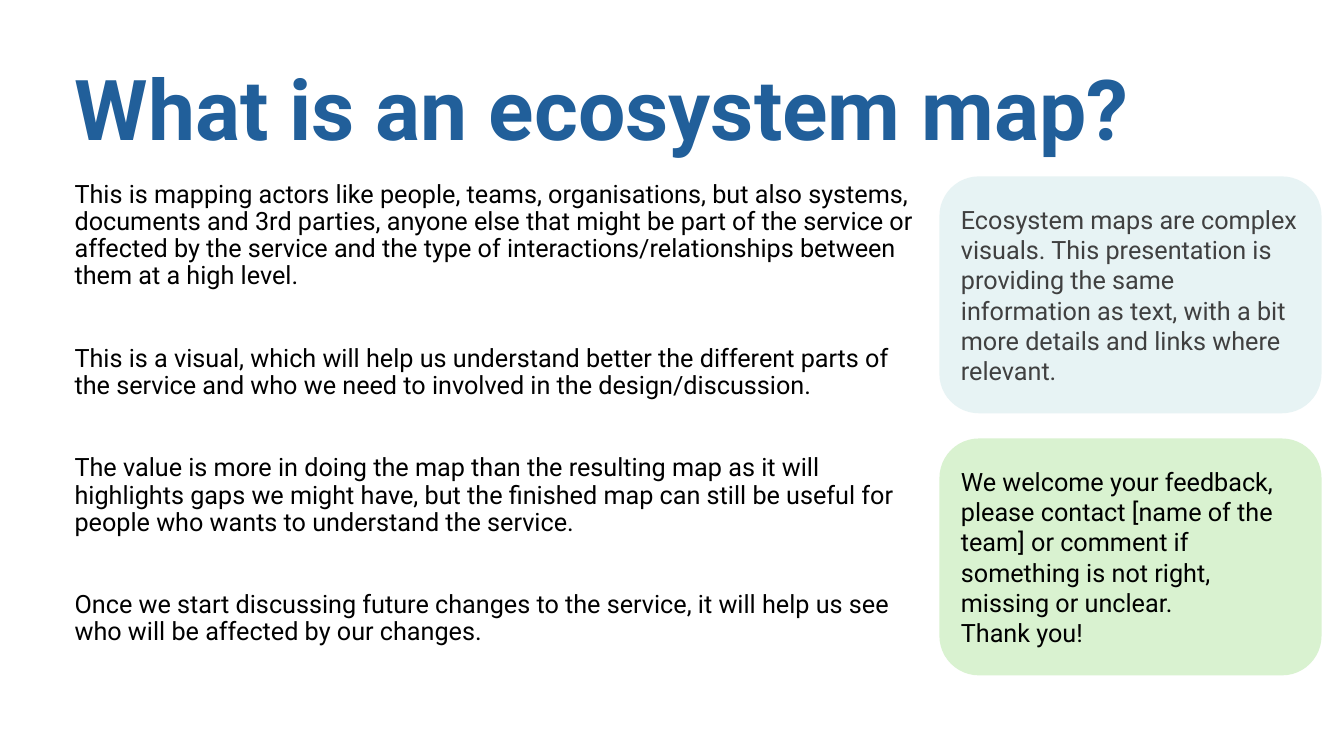
from dataclasses import dataclass

from pptx import Presentation
from pptx.dml.color import RGBColor
from pptx.enum.shapes import MSO_SHAPE
from pptx.enum.text import MSO_ANCHOR, MSO_AUTO_SIZE, PP_ALIGN
from pptx.oxml.xmlchemy import OxmlElement
from pptx.util import Inches, Pt

ROUNDED = MSO_SHAPE.ROUNDED_RECTANGLE
MIDDLE, TOP = MSO_ANCHOR.MIDDLE, MSO_ANCHOR.TOP
LEFT = PP_ALIGN.LEFT
NO_FIT = MSO_AUTO_SIZE.NONE


@dataclass(frozen=True)
class Theme:
    font: str = "Roboto"
    title_size: int = 60
    body_size: int = 18
    title: str = "215F9A"
    text: str = "000000"
    muted: str = "404040"
    info: str = "E7F3F4"
    feedback: str = "D9F2D0"
    tight: float = 0.9
    first_gap: float = 10
    gap: float = 39.4


class Deck:
    """Places themed elements of one slide on a grid of 100 columns and 150 rows."""

    def __init__(self, theme):
        self.theme = theme
        self.prs = Presentation()
        self.prs.slide_width, self.prs.slide_height = Inches(13.33), Inches(7.5)
        self.s = self.prs.slides.add_slide(self.prs.slide_layouts[1])

    def grid(self, col, row, cols, rows):
        dx, dy = self.prs.slide_width / 100, self.prs.slide_height / 150
        return [round(v) for v in (col * dx, row * dy, cols * dx, rows * dy)]

    def place(self, sp, cell):
        sp.left, sp.top, sp.width, sp.height = self.grid(*cell)

    def frame(self, sp, anchor):
        tf = sp.text_frame
        tf.word_wrap = True
        tf.auto_size = NO_FIT
        tf.vertical_anchor = anchor
        return tf

    def add_text(self, tf, texts, size, color, bold=False):
        for i, text in enumerate(texts):
            p = tf.add_paragraph() if i else tf.paragraphs[0]
            p.alignment = LEFT
            r = p.add_run()
            r.text = text
            r.font.name = self.theme.font
            r.font.size = Pt(size)
            r.font.bold = bold
            r.font.color.rgb = RGBColor.from_string(color)

    def title(self, text, cell):
        sp = self.s.shapes.title
        self.place(sp, cell)
        tf = self.frame(sp, MIDDLE)
        self.add_text(tf, [text], self.theme.title_size, self.theme.title, True)
        tf.paragraphs[0].line_spacing = self.theme.tight

    def body(self, texts, cell):
        sp = self.s.placeholders[1]
        self.place(sp, cell)
        tf = self.frame(sp, TOP)
        self.add_text(tf, texts, self.theme.body_size, self.theme.text)
        for i, p in enumerate(tf.paragraphs):
            p.line_spacing = self.theme.tight
            p.space_before = Pt(self.theme.gap if i else self.theme.first_gap)
            pPr = p._p.get_or_add_pPr()
            pPr.set("marL", "0")
            pPr.set("indent", "0")
            pPr.append(OxmlElement("a:buNone"))

    def card(self, texts, cell, fill, color):
        sp = self.s.shapes.add_shape(ROUNDED, *self.grid(*cell))
        sp.shadow.inherit = False
        sp.fill.solid()
        sp.fill.fore_color.rgb = RGBColor.from_string(fill)
        sp.line.fill.background()
        self.add_text(self.frame(sp, MIDDLE), texts, self.theme.body_size, color)


def main():
    theme = Theme()
    deck = Deck(theme)
    deck.title("What is an ecosystem map?", (4.8, 8, 88.3, 29))
    deck.body([
        "This is mapping actors like people, teams, organisations, but also systems, "
        "documents and 3rd parties, anyone else that might be part of the service or "
        "affected by the service and the type of interactions/relationships between "
        "them at a high level.",
        "This is a visual, which will help us understand better the different parts of "
        "the service and who we need to involved in the design/discussion.",
        "The value is more in doing the map than the resulting map as it will "
        "highlights gaps we might have, but the finished map can still be useful for "
        "people who wants to understand the service.",
        "Once we start discussing future changes to the service, it will help us see "
        "who will be affected by our changes.",
    ], (4.8, 35, 64.3, 99))
    cards = [
        (["Ecosystem maps are complex visuals. This presentation is providing the same "
          "information as text, with a bit more details and links where relevant."],
         theme.info, theme.muted),
        (["We welcome your feedback, please contact [name of the team] or comment if "
          "something is not right, missing or unclear.", "Thank you!"],
         theme.feedback, theme.text),
    ]
    for i, (texts, fill, color) in enumerate(cards):
        deck.card(texts, (69.9, 35 + i * 52, 28.43, 47), fill, color)
    deck.prs.save("out.pptx")


if __name__ == "__main__":
    main()
